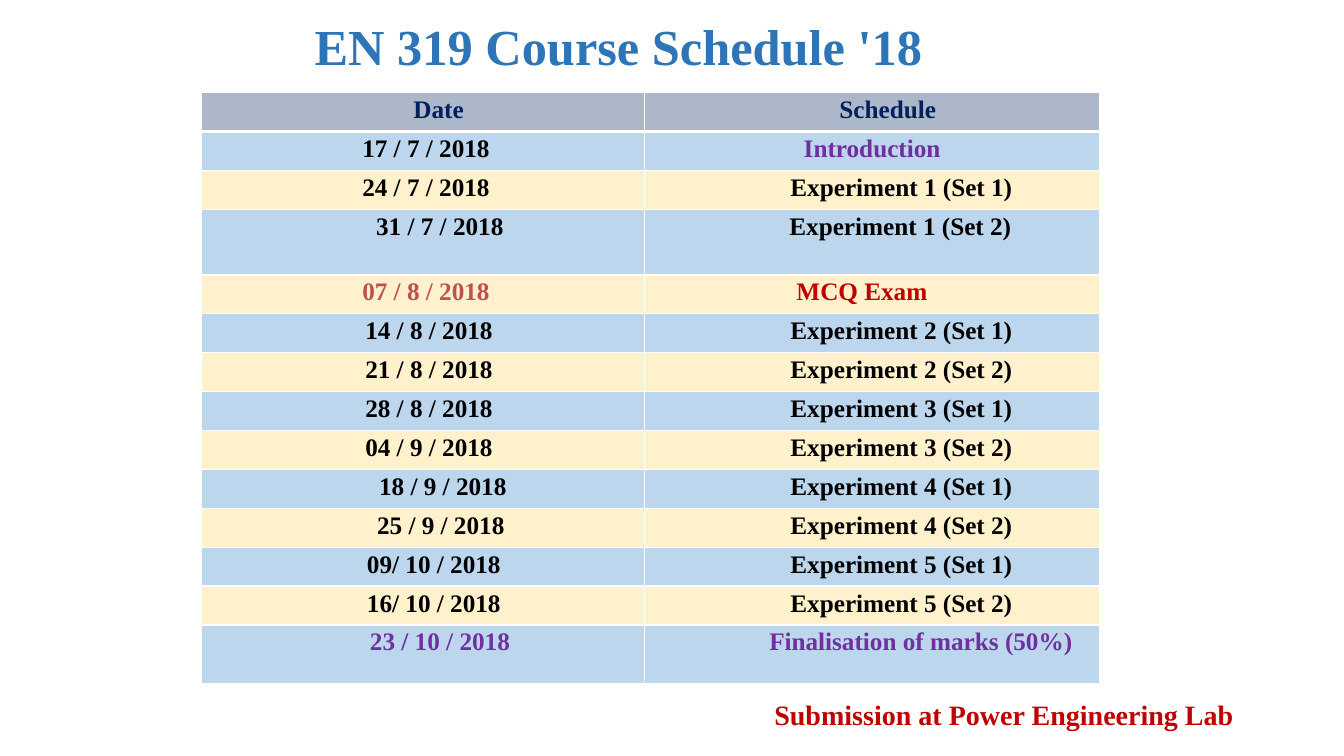
from dataclasses import dataclass

import pptx
import pptx.dml.color
import pptx.enum.text
import pptx.oxml
import pptx.oxml.ns
import pptx.util

Inches = pptx.util.Inches
Pt = pptx.util.Pt
LEFT = pptx.enum.text.PP_ALIGN.LEFT
CENTER = pptx.enum.text.PP_ALIGN.CENTER


@dataclass(frozen=True)
class Theme:
    font: str = "Times New Roman"
    title_size: int = 36
    note_size: int = 20
    table_size: int = 18
    title: str = "2D75B6"
    heading: str = "001F5F"
    text: str = "000000"
    milestone: str = "6F2F9F"
    final: str = "7030A0"
    exam: str = "C00000"
    exam_date: str = "C0504D"
    header_fill: str = "ACB8C9"
    band_fills: tuple = ("BCD6ED", "FFF1CC")
    border: str = "FFFFFF"
    thin: float = 0.96
    thick: float = 3


THEME = Theme()


@dataclass(frozen=True)
class Entry:
    """Text of one table cell, with its left inset in inches."""
    text: str
    inset: float
    alignment: int = LEFT
    color: str = THEME.text


def experiment(number, group, inset=1.45):
    return Entry(f"Experiment {number} (Set {group})", inset)


HEADER = [Entry(name, 0.41, CENTER, THEME.heading) for name in ("Date", "Schedule")]
SCHEDULE = [
    (Entry("17 / 7 / 2018", 0.16, CENTER),
     Entry("Introduction", 0.1, CENTER, THEME.milestone)),
    (Entry("24 / 7 / 2018", 0.16, CENTER), experiment(1, 1)),
    (Entry("31 / 7 / 2018", 1.73), experiment(1, 2, 1.44)),
    (Entry("07 / 8 / 2018", 0.16, CENTER, THEME.exam_date),
     Entry("MCQ Exam", 1.51, color=THEME.exam)),
    (Entry("14 / 8 / 2018", 0.22, CENTER), experiment(2, 1)),
    (Entry("21 / 8 / 2018", 0.22, CENTER), experiment(2, 2)),
    (Entry("28 / 8 / 2018", 0.22, CENTER), experiment(3, 1)),
    (Entry("04 / 9 / 2018", 0.22, CENTER), experiment(3, 2)),
    (Entry("18 / 9 / 2018", 1.76), experiment(4, 1)),
    (Entry("25 / 9 / 2018", 1.74), experiment(4, 2)),
    (Entry("09/ 10 / 2018", 1.64), experiment(5, 1)),
    (Entry("16/ 10 / 2018", 1.64), experiment(5, 2)),
    (Entry("23 / 10 / 2018", 1.67, color=THEME.final),
     Entry("Finalisation of marks (50%)", 1.24, color=THEME.final)),
]
COLUMN_WIDTHS = (4.39, 4.52)
ROW_HEIGHT = Inches(4.63) // 12
TALL_ROWS = {3: Inches(0.65), 13: Inches(0.58)}


class SlideBuilder:
    def __init__(self, slide, theme):
        self.slide = slide
        self.theme = theme

    def add_text(self, frame, text, size, color, alignment=LEFT):
        paragraph = frame.paragraphs[0]
        paragraph.alignment = alignment
        run = paragraph.add_run()
        run.text = text
        run.font.name = self.theme.font
        run.font.size = Pt(size)
        run.font.bold = True
        run.font.color.rgb = pptx.dml.color.RGBColor.from_string(color)

    def set_frame(self, frame, left=0, top=0):
        frame.word_wrap = True
        frame.auto_size = pptx.enum.text.MSO_AUTO_SIZE.NONE
        frame.vertical_anchor = pptx.enum.text.MSO_ANCHOR.TOP
        frame.margin_left, frame.margin_top = Inches(left), Inches(top)
        frame.margin_right = frame.margin_bottom = 0

    def title(self, text):
        shape = self.slide.shapes.title
        shape.left, shape.top = Inches(0.33), Inches(0.1)
        shape.width, shape.height = Inches(11.27), Inches(1.3)
        self.set_frame(shape.text_frame, left=2.79, top=0.05)
        self.add_text(shape.text_frame, text, self.theme.title_size, self.theme.title)

    def note(self, text):
        shape = self.slide.shapes.add_textbox(
            Inches(7.67), Inches(6.92), Inches(5.09), Inches(0.67))
        self.set_frame(shape.text_frame, left=0.01)
        self.add_text(shape.text_frame, text, self.theme.note_size, self.theme.exam)

    def border(self, cell, side, width):
        line = pptx.oxml.parse_xml(
            f'<a:ln{side} {pptx.oxml.ns.nsdecls("a")} w="{Pt(width)}"><a:solidFill>'
            f'<a:srgbClr val="{self.theme.border}"/></a:solidFill></a:ln{side}>')
        # Borders come before the fill in the cell properties.
        cell._tc.get_or_add_tcPr().insert("LRTB".index(side), line)

    def cell(self, cell, entry, row):
        theme = self.theme
        cell.margin_left, cell.margin_right = Inches(entry.inset), Inches(0.1)
        cell.margin_top, cell.margin_bottom = Pt(2.5), 0
        for side in "LRTB":
            under_header = (row, side) in ((0, "B"), (1, "T"))
            self.border(cell, side, theme.thick if under_header else theme.thin)
        fill = theme.band_fills[(row - 1) % 2] if row else theme.header_fill
        cell.fill.solid()
        cell.fill.fore_color.rgb = pptx.dml.color.RGBColor.from_string(fill)
        self.add_text(cell.text_frame, entry.text, theme.table_size,
                      entry.color, entry.alignment)

    def table(self, rows):
        heights = [TALL_ROWS.get(index, ROW_HEIGHT) for index in range(len(rows))]
        table = self.slide.shapes.add_table(
            len(rows), len(COLUMN_WIDTHS), Inches(2), Inches(0.92),
            Inches(sum(COLUMN_WIDTHS)), sum(heights)).table
        for column, width in zip(table.columns, COLUMN_WIDTHS):
            column.width = Inches(width)
        for index, entries in enumerate(rows):
            table.rows[index].height = heights[index]
            for column, entry in enumerate(entries):
                self.cell(table.cell(index, column), entry, index)


def main():
    presentation = pptx.Presentation()
    presentation.slide_width = Inches(13.33)
    presentation.slide_height = Inches(7.5)
    slide = presentation.slides.add_slide(presentation.slide_layouts[5])
    builder = SlideBuilder(slide, THEME)
    builder.title("EN 319 Course Schedule '18")
    builder.table([HEADER, *SCHEDULE])
    builder.note("Submission at Power Engineering Lab")
    presentation.save("out.pptx")


if __name__ == "__main__":
    main()
